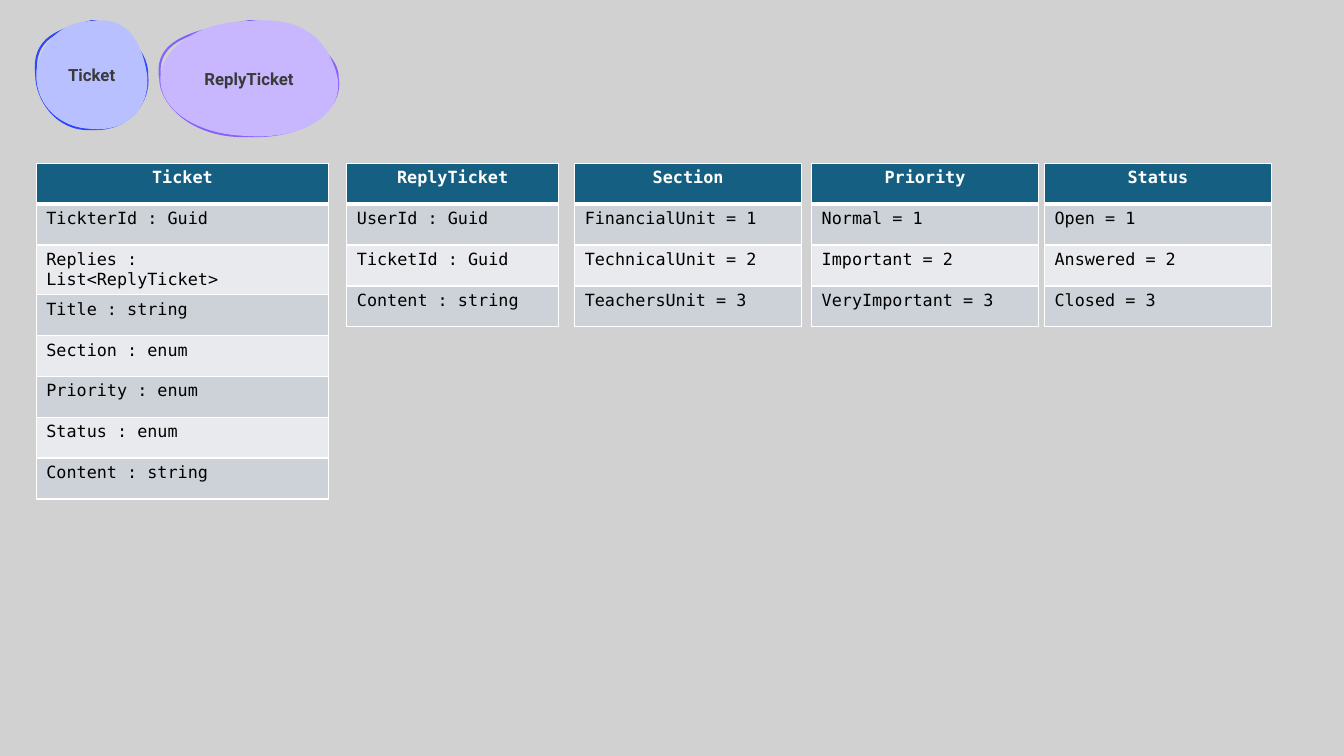
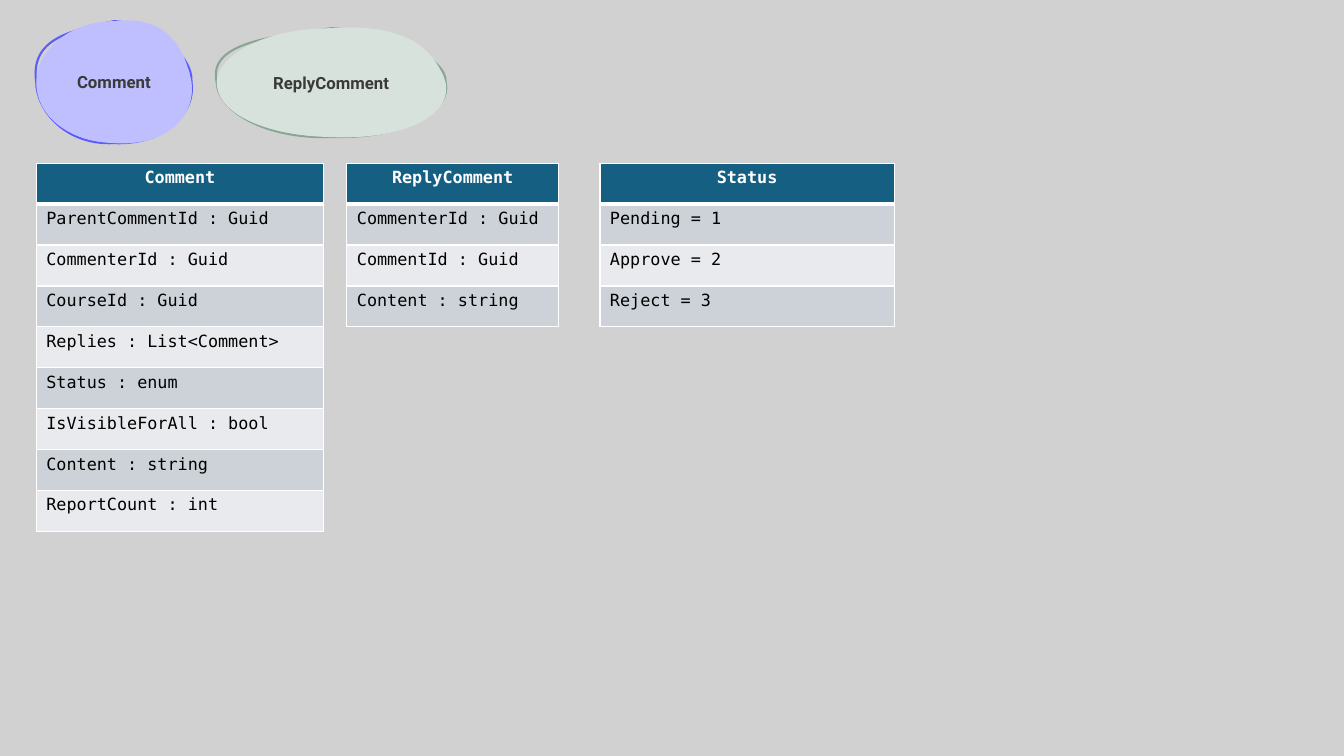
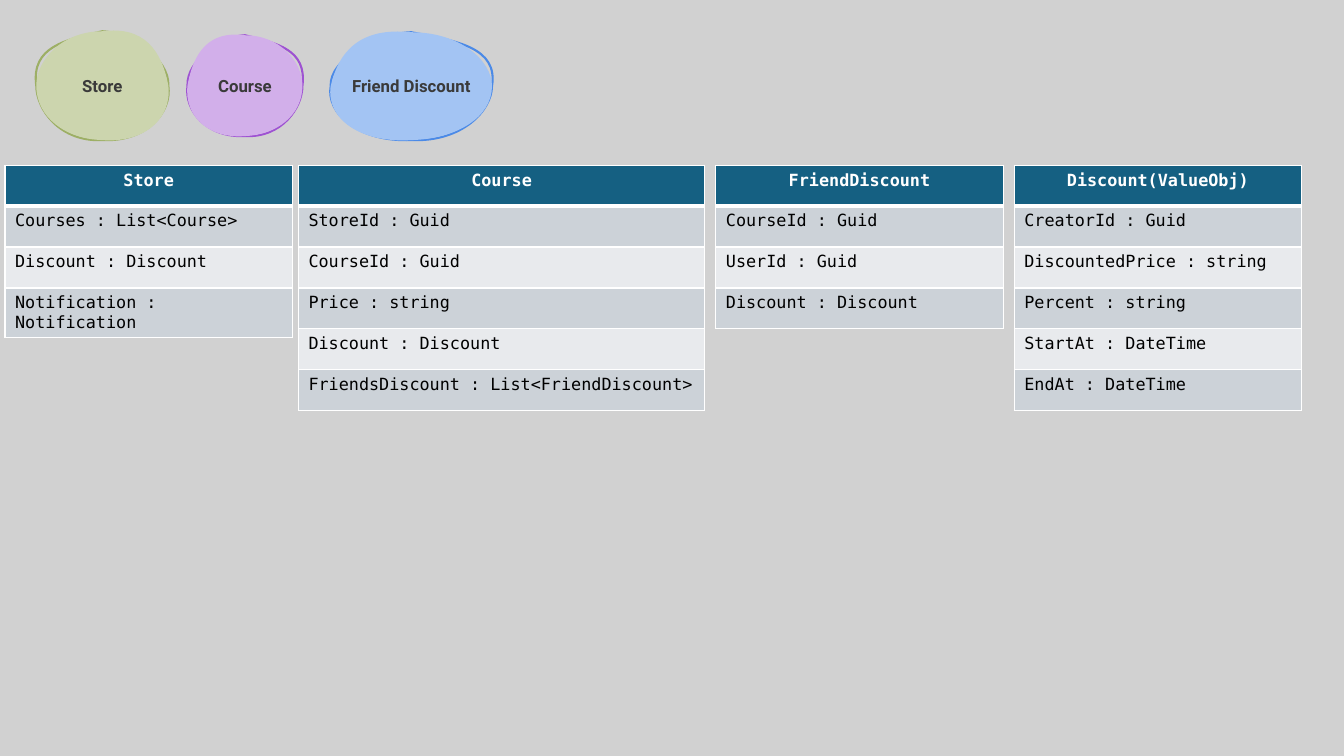
from dataclasses import dataclass

from pptx import Presentation
from pptx.dml.color import RGBColor
from pptx.enum.text import MSO_ANCHOR, PP_ALIGN
from pptx.oxml import parse_xml
from pptx.oxml.ns import nsdecls, qn
from pptx.util import Inches, Pt

CENTER = PP_ALIGN.CENTER
LEFT = PP_ALIGN.LEFT
MIDDLE = MSO_ANCHOR.MIDDLE


@dataclass(frozen=True)
class Theme:
    background: str = "D1D1D1"
    header: str = "156082"
    bands: tuple = ("CCD2D8", "E8EAED")
    border: str = "FFFFFF"
    header_text: str = "FFFFFF"
    body_text: str = "000000"
    blob_text: str = "3A3A3A"
    table_font: str = "DejaVu Sans Mono"
    blob_font: str = "Roboto"
    size: int = 12
    row_height: float = 3.65 / 9
    thin: float = 1
    thick: float = 3
    outline: float = 1.5


T = Theme()

ANCHORS = [(0, 0.5), (0.5, 0), (1, 0.5), (0.5, 1)]
OUTLINE = [(-0.04, 0.14), (0.22, 0.08), (0.71, 0.01), (1.01, 0.25),
           (1.03, 0.75), (0.83, 1.02), (0.18, 1.02), (0, 0.72)]
BODY = [(0, 0.26), (0.2, 0), (0.82, -0.05), (0.95, 0.18),
        (1.03, 0.81), (0.81, 1.03), (0.22, 0.99), (0, 0.79)]

SLIDES = [
    {
        "table_top": 1.62,
        "blobs": [
            ("Ticket", "B8C0FF", "2D46FF", (0.36, 0.21, 1.1, 1.07), False),
            ("ReplyTicket", "C8B6FF", "8761FF", (1.59, 0.21, 1.76, 1.14), False),
        ],
        "tables": [
            (0.36, 2.9, ["Ticket", "TickterId : Guid", "Replies : List<ReplyTicket>",
                         "Title : string", "Section : enum", "Priority : enum",
                         "Status : enum", "Content : string"]),
            (3.44, 2.1, ["ReplyTicket", "UserId : Guid", "TicketId : Guid",
                         "Content : string"]),
            (5.7, 2.25, ["Section", "FinancialUnit = 1", "TechnicalUnit = 2",
                         "TeachersUnit = 3"]),
            (8.05, 2.25, ["Priority", "Normal = 1", "Important = 2",
                          "VeryImportant = 3"]),
            (10.36, 2.25, ["Status", "Open = 1", "Answered = 2", "Closed = 3"]),
        ],
    },
    {
        "table_top": 1.62,
        "blobs": [
            ("Comment", "BFBFFF", "5B5BFF", (0.36, 0.21, 1.54, 1.21), False),
            ("ReplyComment", "D8E2DC", "88A694", (2.15, 0.28, 2.27, 1.08), False),
        ],
        "tables": [
            (0.36, 2.85, ["Comment", "ParentCommentId : Guid", "CommenterId : Guid",
                          "CourseId : Guid", "Replies : List<Comment>",
                          "Status : enum", "IsVisibleForAll : bool",
                          "Content : string", "ReportCount : int"]),
            (3.44, 2.1, ["ReplyComment", "CommenterId : Guid", "CommentId : Guid",
                         "Content : string"]),
            (5.95, 2.92, ["Status", "Pending = 1", "Approve = 2", "Reject = 3"]),
        ],
    },
    {
        "table_top": 1.64,
        "blobs": [
            ("Store", "CCD5AE", "9DAF65", (0.36, 0.31, 1.31, 1.08), False),
            ("Course", "D2AFEA", "9E52D2", (1.86, 0.35, 1.14, 1), True),
            ("Friend Discount", "A3C4F3", "4B8AE7", (3.28, 0.32, 1.6, 1.07), True),
        ],
        "tables": [
            (0.05, 2.85, ["Store", "Courses : List<Course>", "Discount : Discount",
                          "Notification : Notification"]),
            (2.96, 4.03, ["Course", "StoreId : Guid", "CourseId : Guid",
                          "Price : string", "Discount : Discount",
                          "FriendsDiscount : List<FriendDiscount>"]),
            (7.1, 2.85, ["FriendDiscount", "CourseId : Guid", "UserId : Guid",
                         "Discount : Discount"]),
            (10.06, 2.85, ["Discount(ValueObj)", "CreatorId : Guid",
                           "DiscountedPrice : string", "Percent : string",
                           "StartAt : DateTime", "EndAt : DateTime"]),
        ],
    },
]


def format_text(tf, font, color, bold, align):
    p = tf.paragraphs[0]
    p.alignment = align
    r = p.runs[0]
    r.font.name = font
    r.font.size = Pt(T.size)
    r.font.bold = bold
    r.font.color.rgb = RGBColor.from_string(color)


def curve_xml(sp, controls, flip, attrs):
    def pt(point):
        x, y = point
        if flip:
            x = 1 - x
        return f'<a:pt x="{round(x * sp.width)}" y="{round(y * sp.height)}"/>'

    ends = ANCHORS[1:] + ANCHORS[:1]
    curves = "".join(
        f"<a:cubicBezTo>{pt(c1)}{pt(c2)}{pt(end)}</a:cubicBezTo>"
        for c1, c2, end in zip(controls[::2], controls[1::2], ends))
    return parse_xml(
        f'<a:path {nsdecls("a")} w="{sp.width}" h="{sp.height}" {attrs}>'
        f"<a:moveTo>{pt(ANCHORS[0])}</a:moveTo>{curves}<a:close/></a:path>")


prs = Presentation()
prs.slide_width, prs.slide_height = Inches(13.33), Inches(7.5)
bg = prs.slide_master.background.fill
bg.solid()
bg.fore_color.rgb = RGBColor.from_string(T.background)
blank = prs.slide_layouts[6]

for content in SLIDES:
    s = prs.slides.add_slide(blank)

    for left, width, rows in content["tables"]:
        table = s.shapes.add_table(
            len(rows), 1, Inches(left), Inches(content["table_top"]),
            Inches(width), Inches(T.row_height * len(rows))).table
        table.horz_banding = False
        for i, text in enumerate(rows):
            is_header = i == 0
            cell = table.cell(i, 0)
            cell.text_frame.text = text
            if is_header:
                format_text(cell.text_frame, T.table_font, T.header_text, True, CENTER)
            else:
                format_text(cell.text_frame, T.table_font, T.body_text, False, LEFT)
            weights = {"lnL": T.thin, "lnR": T.thin,
                       "lnT": T.thick if i == 1 else T.thin,
                       "lnB": T.thick if is_header else T.thin}
            tcPr = cell._tc.get_or_add_tcPr()
            for side, weight in weights.items():
                tcPr.append(parse_xml(
                    f'<a:{side} {nsdecls("a")} w="{Pt(weight)}"><a:solidFill>'
                    f'<a:srgbClr val="{T.border}"/></a:solidFill></a:{side}>'))
            cell.fill.solid()
            cell.fill.fore_color.rgb = RGBColor.from_string(
                T.header if is_header else T.bands[(i - 1) % 2])

    for text, fill, line, (left, top, width, height), flip in content["blobs"]:
        points = [(Inches(left + x * width), Inches(top + y * height)) for x, y in ANCHORS]
        builder = s.shapes.build_freeform(*points[0])
        builder.add_line_segments(points[1:], close=True)
        sp = builder.convert_to_shape()
        curves = sp._element.spPr.find(qn("a:custGeom")).find(qn("a:pathLst"))
        curves.clear()
        curves.append(curve_xml(sp, OUTLINE, flip, 'fill="none"'))
        curves.append(curve_xml(sp, BODY, flip, 'stroke="0"'))
        sp.shadow.inherit = False
        sp.fill.solid()
        sp.fill.fore_color.rgb = RGBColor.from_string(fill)
        sp.line.color.rgb = RGBColor.from_string(line)
        sp.line.width = Pt(T.outline)
        tf = sp.text_frame
        tf.text = text
        tf.word_wrap = True
        tf.vertical_anchor = MIDDLE
        format_text(tf, T.blob_font, T.blob_text, True, CENTER)

prs.save("out.pptx")
